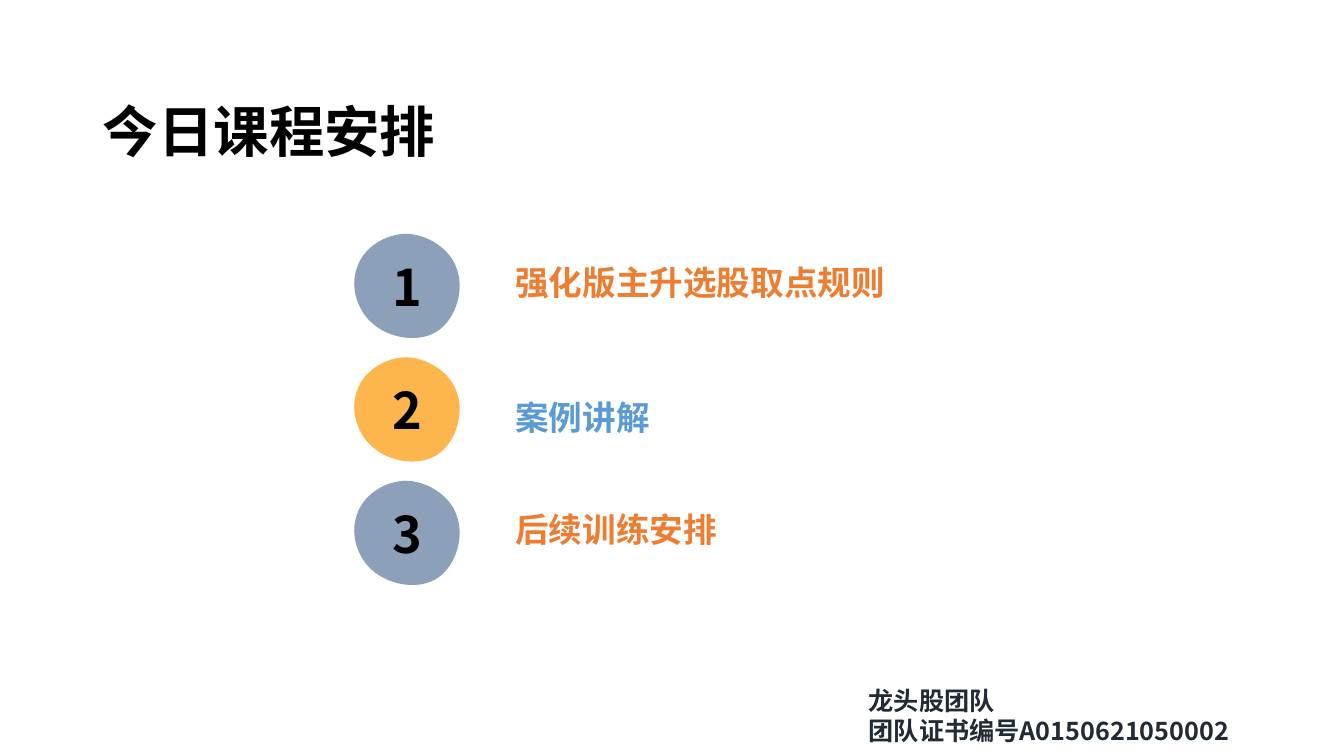
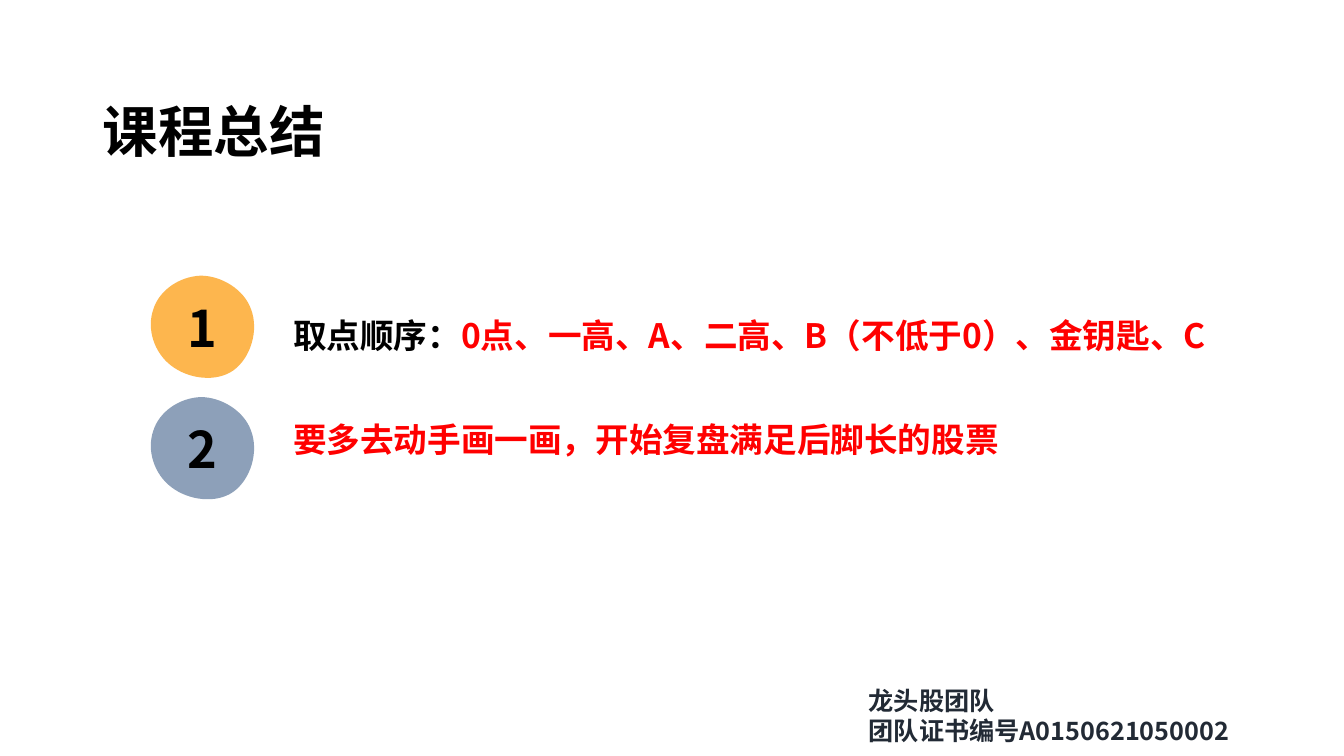
import lxml.etree
import pptx
import pptx.dml.color
import pptx.enum.text
import pptx.oxml.ns
import pptx.util

Pt = pptx.util.Pt
RGBColor = pptx.dml.color.RGBColor
Anchor = pptx.enum.text.MSO_ANCHOR
Align = pptx.enum.text.PP_ALIGN
AutoSize = pptx.enum.text.MSO_AUTO_SIZE
qn = pptx.oxml.ns.qn

BLACK = RGBColor(0x00, 0x00, 0x00)
RED = RGBColor(0xFF, 0x00, 0x00)
ORANGE = RGBColor(0xED, 0x7D, 0x31)
BLUE = RGBColor(0x5B, 0x9B, 0xD5)
NAVY = RGBColor(0x22, 0x2A, 0x35)
SLATE = RGBColor(0x8D, 0xA0, 0xB9)
AMBER = RGBColor(0xFD, 0xB6, 0x4E)

FONT = "Noto Sans CJK SC"
FOOTER = ["龙头股团队", "团队证书编号A0150621050002"]

# Badge outline in points from its top left corner: start, then Bézier segments
BADGE_WIDTH, BADGE_HEIGHT = 76.3, 74.9
BADGE_START = (73.4, 24.5)
BADGE_OUTLINE = [
    ("a:moveTo", [BADGE_START]),
    ("a:cubicBezTo", [(79.2, 39.6), (73.4, 59.8), (60.5, 69.1)]),
    ("a:cubicBezTo", [(48.2, 77.8), (28.1, 75.6), (15.1, 65.5)]),
    ("a:cubicBezTo", [(2.9, 56.2), (-2.9, 38.9), (2.2, 24.5)]),
    ("a:cubicBezTo", [(6.5, 10.8), (20.9, 0.7), (36.7, 0)]),
    ("a:cubicBezTo", [(51.8, 0), (68.4, 10.1), BADGE_START]),
    ("a:close", []),
]

# Badges: left, top, pitch, scale, fills; lines: left, top, width, height, runs
SLIDES = [
    {
        "title": "今日课程安排",
        "badges": (252.7, 167, 88.2, 1, [SLATE, AMBER, SLATE]),
        "lines": [
            (361, 183.6, 414, 36, [("强化版主升选股取点规则", ORANGE)]),
            (361, 279.7, 369.4, 36, [("案例讲解", BLUE)]),
            (361, 360, 369.4, 36, [("后续训练安排", ORANGE)]),
        ],
    },
    {
        "title": "课程总结",
        "badges": (107.4, 196.9, 86.7, 0.98, [AMBER, SLATE]),
        "lines": [
            (202.3, 221.4, 668.9, 65.5, [
                ("取点顺序：", BLACK),
                ("0点、一高、A、二高、B（不低于0）、金钥匙、C", RED),
            ]),
            (202.3, 295.5, 609.1, 36, [
                ("要多去动手画一画，开始复盘满足后脚长的股票", RED),
            ]),
        ],
    },
]


def add_run(paragraph, text, size, color):
    """Append a bold run whose font also covers East Asian characters."""
    run = paragraph.add_run()
    run.text = text
    run.font.size = Pt(size)
    run.font.bold = True
    run.font.color.rgb = color
    run.font.name = FONT
    east_asian = lxml.etree.SubElement(run.font._element, qn("a:ea"))
    east_asian.set("typeface", FONT)


def add_growing_box(slide, left, top, width, height):
    """Add a wrapping text box that fits its text; return its text frame."""
    box = slide.shapes.add_textbox(Pt(left), Pt(top), Pt(width), Pt(height))
    frame = box.text_frame
    frame.word_wrap = True
    frame.auto_size = AutoSize.SHAPE_TO_FIT_TEXT
    return frame


deck = pptx.Presentation()
deck.slide_width = Pt(960)
deck.slide_height = Pt(540)
title_only = deck.slide_layouts[5]

for content in SLIDES:
    slide = deck.slides.add_slide(title_only)

    title = slide.shapes.title
    title.left, title.top, title.width, title.height = Pt(66.2), Pt(69.1), Pt(328.3), Pt(54)
    title.text_frame.auto_size = AutoSize.NONE
    title.text_frame.vertical_anchor = Anchor.MIDDLE
    heading = title.text_frame.paragraphs[0]
    heading.alignment = Align.LEFT
    heading.line_spacing = 0.9
    add_run(heading, content["title"], 39.6, BLACK)

    for left, top, width, height, runs in content["lines"]:
        line = add_growing_box(slide, left, top, width, height).paragraphs[0]
        for text, color in runs:
            add_run(line, text, 24, color)

    left, first_top, pitch, scale, fills = content["badges"]
    right = left + BADGE_WIDTH * scale
    for index, fill in enumerate(fills):
        top = first_top + index * pitch
        bottom = top + BADGE_HEIGHT * scale
        builder = slide.shapes.build_freeform(Pt(left), Pt(top))
        builder.add_line_segments(
            [(Pt(right), Pt(top)), (Pt(right), Pt(bottom)), (Pt(left), Pt(bottom))]
        )
        badge = builder.convert_to_shape()

        # Swap the straight frame for the curved outline
        outline = badge._element.find(".//" + qn("a:path"))
        for segment in list(outline):
            outline.remove(segment)
        for command, points in BADGE_OUTLINE:
            segment = lxml.etree.SubElement(outline, qn(command))
            for x, y in points:
                point = lxml.etree.SubElement(segment, qn("a:pt"))
                point.set("x", str(Pt(x * scale)))
                point.set("y", str(Pt(y * scale)))

        badge.shadow.inherit = False
        badge.fill.solid()
        badge.fill.fore_color.rgb = fill
        badge.line.fill.background()
        badge.text_frame.word_wrap = False
        badge.text_frame.vertical_anchor = Anchor.MIDDLE
        number = badge.text_frame.paragraphs[0]
        number.alignment = Align.CENTER
        add_run(number, str(index + 1), 36, BLACK)

    footer = add_growing_box(slide, 613.4, 486, 285.1, 51.1)
    for index, text in enumerate(FOOTER):
        paragraph = footer.add_paragraph() if index else footer.paragraphs[0]
        add_run(paragraph, text, 18, NAVY)

deck.save("out.pptx")
